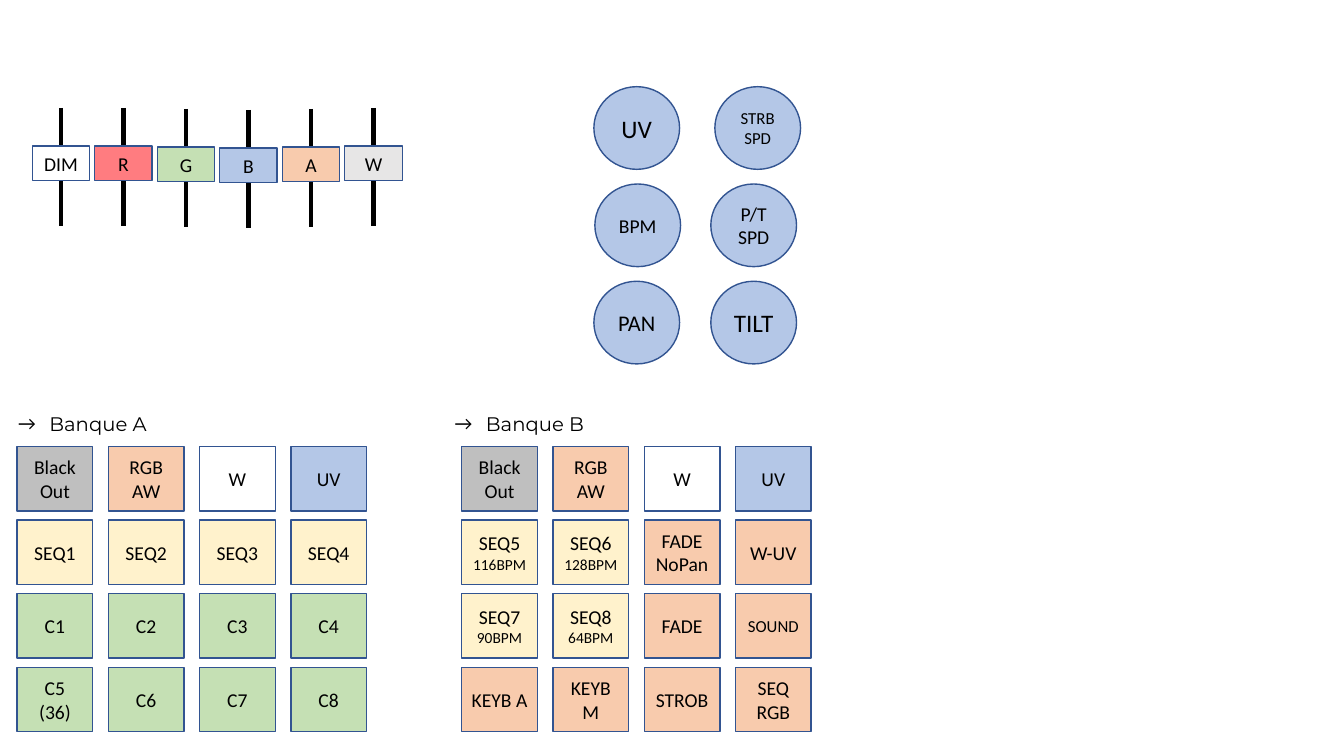
from dataclasses import dataclass

from lxml.etree import SubElement
from pptx import Presentation
from pptx.dml.color import RGBColor
from pptx.enum.shapes import MSO_CONNECTOR as Connector, MSO_SHAPE as Preset
from pptx.enum.text import MSO_ANCHOR as Anchor, MSO_AUTO_SIZE as AutoSize, PP_ALIGN as Align
from pptx.oxml.ns import qn
from pptx.util import Inches, Pt

COLORS = {
    "black": "000000", "outline": "325491", "gray": "BFBFBF", "silver": "E7E6E6",
    "white": "FFFFFF", "orange": "F8CBAD", "blue": "B4C7E7", "yellow": "FFF2CC",
    "green": "C5E0B4", "red": "FF7C80",
}


@dataclass(frozen=True)
class Grid:
    """Equal cells: first corner, distance between cells and cell size, in inches."""
    left: float
    top: float
    step_x: float
    step_y: float
    width: float
    height: float

    def cell(self, column: int, row: int) -> tuple[float, float, float, float]:
        """Return left, top, width and height of one cell."""
        return (self.left + column * self.step_x, self.top + row * self.step_y,
                self.width, self.height)


@dataclass(frozen=True)
class Control:
    """A labelled button, fader cap or knob; sizes are for the first and later lines."""
    label: str
    color: str
    size: float = 14
    small: float | None = None
    nudge_x: float = 0
    nudge_y: float = 0


@dataclass(frozen=True)
class Bank:
    """A heading and the rows of buttons below it."""
    title: str
    title_left: float
    grid: Grid
    rows: list[list[Control]]


def rgb(name: str) -> RGBColor:
    """Look up a named colour."""
    return RGBColor.from_string(COLORS[name])


def format_para(para, font: str, size: float) -> None:
    """Give every run of a paragraph its font, size and black colour."""
    for span in para.runs:
        span.font.name, span.font.size = font, Pt(size)
        span.font.color.rgb = rgb("black")


def draw_control(page, control: Control, grid: Grid, column: int, row: int,
                 preset=Preset.RECTANGLE, inset: float = 0.08) -> None:
    """Draw one control in its grid cell."""
    left, top, width, height = grid.cell(column, row)
    box = page.shapes.add_shape(preset, Inches(left + control.nudge_x),
                                Inches(top + control.nudge_y), Inches(width), Inches(height))
    box.shadow.inherit = False
    box.fill.solid()
    box.fill.fore_color.rgb = rgb(control.color)
    box.line.color.rgb, box.line.width = rgb("outline"), Pt(1)
    frame = box.text_frame
    frame.text = control.label
    frame.word_wrap, frame.vertical_anchor = True, Anchor.MIDDLE
    frame.margin_left = frame.margin_right = Inches(inset)
    for index, para in enumerate(frame.paragraphs):
        para.alignment = Align.CENTER
        format_para(para, "Calibri", control.small if index and control.small else control.size)


def draw_track(page, x: float, top: float, length: float) -> None:
    """Draw the vertical track of a fader."""
    track = page.shapes.add_connector(Connector.STRAIGHT, Inches(x), Inches(top),
                                      Inches(x), Inches(top + length))
    track.line.color.rgb, track.line.width = rgb("black"), Pt(3)
    SubElement(track._element.spPr, qn("a:effectLst"))


def fill_heading(box, bank: Bank) -> None:
    """Place a bank's heading with its arrow bullet."""
    box.left, box.top = Inches(bank.title_left), Inches(4.04)
    box.width, box.height = Inches(3.06), Inches(0.34)
    frame = box.text_frame
    frame.text = bank.title
    frame.word_wrap, frame.auto_size = True, AutoSize.NONE
    para = frame.paragraphs[0]
    para.space_before = Pt(0)
    format_para(para, "Montserrat", 14)
    props = para._p.get_or_add_pPr()
    props.set("marL", str(Inches(0.31)))
    props.set("indent", str(Inches(-0.31)))
    SubElement(props, qn("a:buFont"), typeface="Calibri")
    SubElement(props, qn("a:buChar"), char="→")


def draw_bank(page, bank: Bank) -> None:
    """Draw all buttons of a bank."""
    for row, controls in enumerate(bank.rows):
        for column, control in enumerate(controls):
            draw_control(page, control, bank.grid, column, row)


def same_color(color: str, *labels: str) -> list[Control]:
    """Make controls that share a colour."""
    return [Control(label, color) for label in labels]


def sequence(number: int, tempo: int) -> Control:
    """Make a sequence button with its tempo in small type."""
    return Control(f"SEQ{number}\n{tempo}BPM", "yellow", small=11)


def bank_grid(left: float) -> Grid:
    """Return the button grid of a bank."""
    return Grid(left, 4.43, 0.905, 0.73, 0.75, 0.64)


COMMON_ROW = [Control("Black Out", "gray"), Control("RGB\vAW", "orange"),
              Control("W", "white"), Control("UV", "blue")]
BANKS = [
    Bank("Banque A", 0.08, bank_grid(0.17), [
        COMMON_ROW,
        same_color("yellow", "SEQ1", "SEQ2", "SEQ3", "SEQ4"),
        same_color("green", "C1", "C2", "C3", "C4"),
        same_color("green", "C5\n(36)", "C6", "C7", "C8"),
    ]),
    Bank("Banque B", 4.41, bank_grid(4.58), [
        COMMON_ROW,
        [sequence(5, 116), sequence(6, 128), *same_color("orange", "FADE\nNoPan", "W-UV")],
        [sequence(7, 90), sequence(8, 64), Control("FADE", "orange"),
         Control("SOUND", "orange", 12)],
        same_color("orange", "KEYB A", "KEYB\vM", "STROB", "SEQ\vRGB"),
    ]),
]
FADER_GRID = Grid(0.32, 1.45, 0.62, 0, 0.57, 0.34)
FADERS = [
    Control("DIM", "white"), Control("R", "red"), Control("G", "green", nudge_y=0.01),
    Control("B", "blue", nudge_y=0.02), Control("A", "orange", nudge_y=0.01),
    Control("W", "silver"),
]
KNOB_GRID = Grid(5.89, 0.86, 1.16, 0.965, 0.85, 0.82)
KNOBS = [
    [Control("UV", "blue", 18), Control("STRB\nSPD", "blue", 12, nudge_x=0.04)],
    [Control("BPM", "blue", nudge_x=0.01), Control("P/T\nSPD", "blue")],
    [Control("PAN", "blue", 16), Control("TILT", "blue", 18)],
]

deck = Presentation()
deck.slide_width, deck.slide_height = Inches(13.33), Inches(7.5)
page = deck.slides.add_slide(deck.slide_layouts.get_by_name("Two Content"))
title, *headings = page.placeholders
title._element.getparent().remove(title._element)

for heading, bank in zip(headings, BANKS):
    fill_heading(heading, bank)
    draw_bank(page, bank)

for column, fader in enumerate(FADERS):
    left, top, width, _ = FADER_GRID.cell(column, 0)
    draw_track(page, left + width / 2, top + fader.nudge_y - 0.38, 1.17)
    draw_control(page, fader, FADER_GRID, column, 0)

for row, knobs in enumerate(KNOBS):
    for column, knob in enumerate(knobs):
        draw_control(page, knob, KNOB_GRID, column, row, Preset.OVAL, 0.05)

deck.save("out.pptx")
